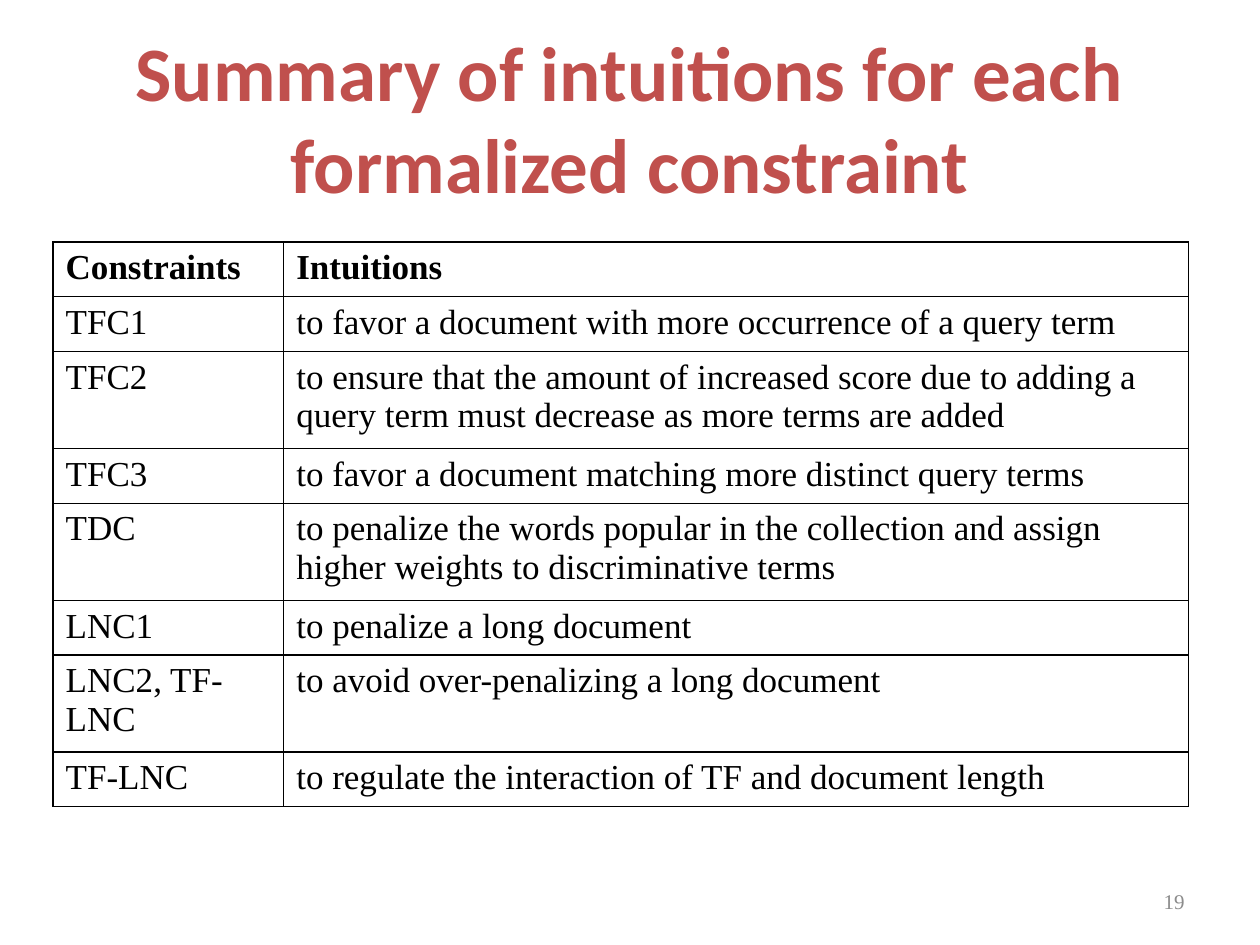
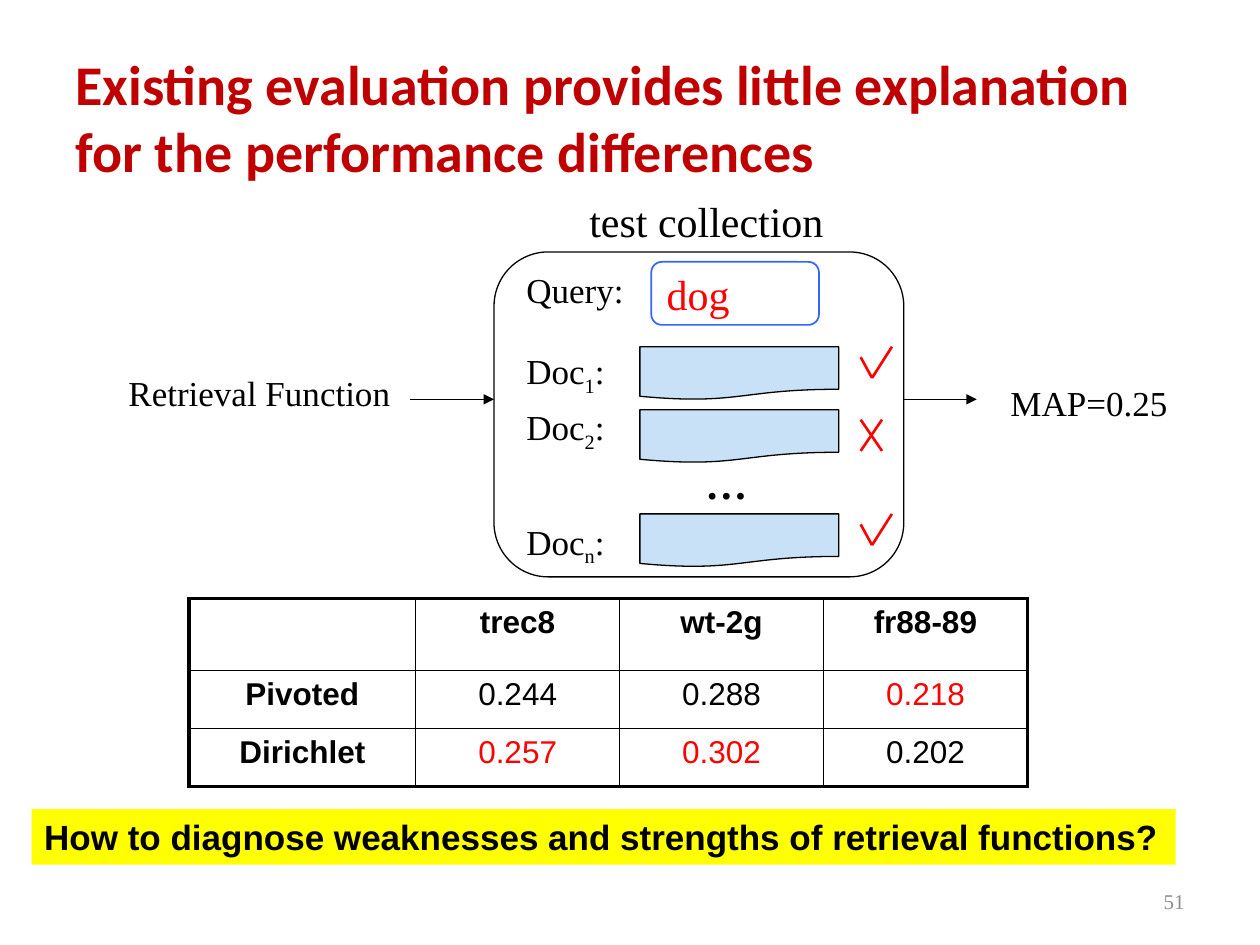
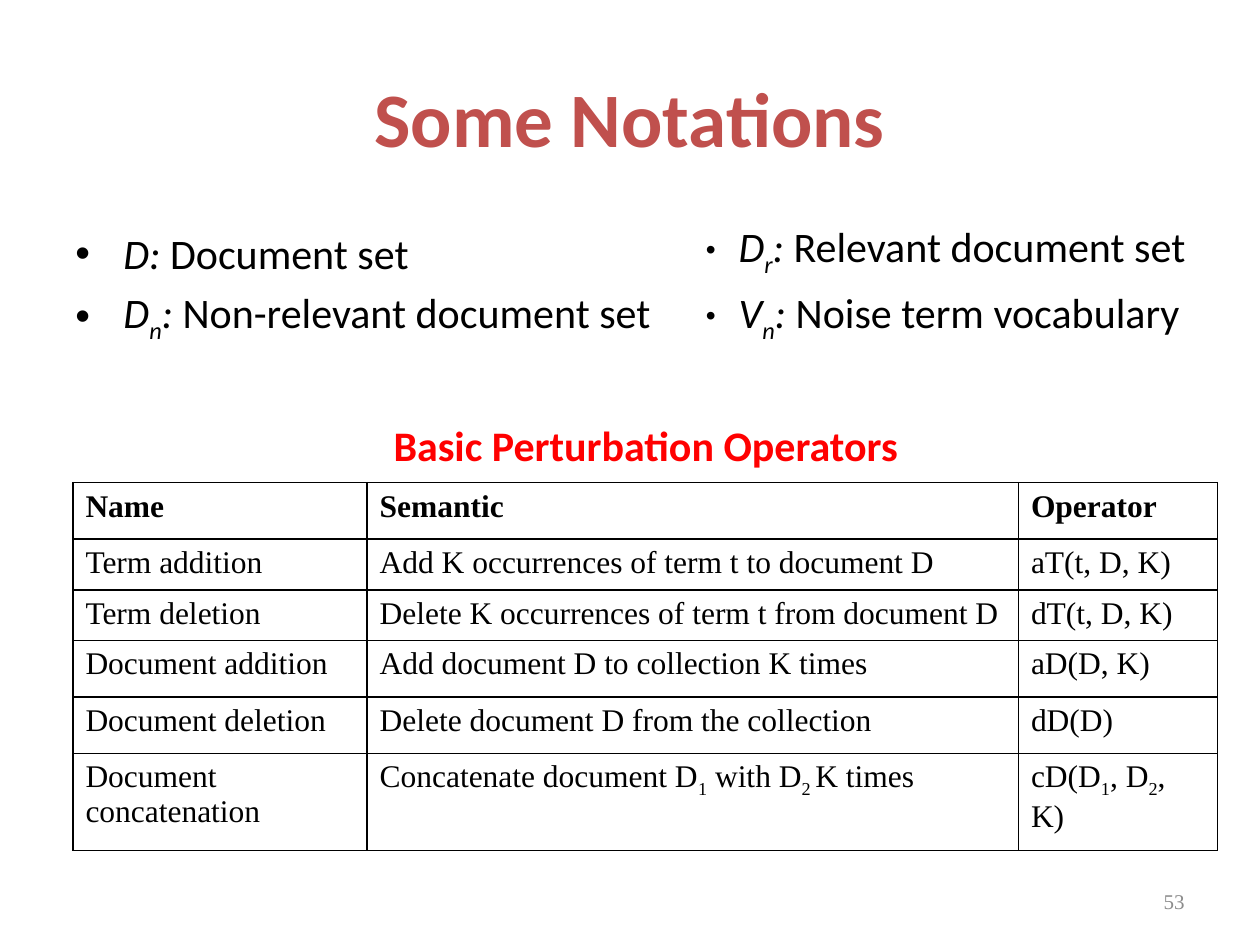
from dataclasses import dataclass

import lxml.etree
import pptx
import pptx.dml.color
import pptx.enum.shapes
import pptx.enum.text
import pptx.oxml
import pptx.oxml.ns
import pptx.util

Cm, Pt = pptx.util.Cm, pptx.util.Pt
RGB = pptx.dml.color.RGBColor.from_string
ALIGN = pptx.enum.text.PP_ALIGN
ANCHOR = pptx.enum.text.MSO_ANCHOR
SHAPE = pptx.enum.shapes.MSO_SHAPE
qn = pptx.oxml.ns.qn


@dataclass(frozen=True)
class Theme:
    heading_font: str = "Calibri"
    body_font: str = "Times New Roman"
    plain_font: str = "Arial"
    ink: str = "000000"
    title: str = "C0504D"
    dark_title: str = "C00000"
    red: str = "FF0000"
    blue: str = "3366FF"
    document: str = "C9E1F6"
    highlight: str = "FFFF00"
    grey: str = "8C8C8C"
    title_size: int = 44
    long_title_size: int = 32
    large: int = 24
    medium: int = 20
    small: int = 18
    footer: int = 12


THEME = Theme()


def add_runs(paragraph, text, size, font=THEME.body_font, color=THEME.ink, bold=False, italic=False):
    """Add text as runs; every second part between bars is a subscript."""
    for position, part in enumerate(text.split("|")):
        run = paragraph.add_run()
        run.text = part
        run.font.size = Pt(size)
        run.font.name = font
        run.font.color.rgb = RGB(color)
        run.font.bold = bold
        run.font.italic = italic
        if position % 2:
            run.font._element.set("baseline", "-25000")


def add_label(slide, box, text, size, align=ALIGN.LEFT, anchor=ANCHOR.TOP, **style):
    text_box = slide.shapes.add_textbox(*map(Cm, box))
    text_box.text_frame.word_wrap = True
    text_box.text_frame.vertical_anchor = anchor
    paragraph = text_box.text_frame.paragraphs[0]
    paragraph.alignment = align
    add_runs(paragraph, text, size, **style)


presentation = pptx.Presentation()
presentation.slide_width = Cm(25.4)
presentation.slide_height = Cm(19.05)

# Titles and page numbers
slides = []
for title, page, size, color, align in [
    ("Summary of intuitions for each formalized constraint", "19",
     THEME.title_size, THEME.title, ALIGN.CENTER),
    ("Existing evaluation provides little explanation for the performance differences", "51",
     THEME.long_title_size, THEME.dark_title, ALIGN.LEFT),
    ("Some Notations", "53", THEME.title_size, THEME.title, ALIGN.CENTER),
]:
    slide = presentation.slides.add_slide(presentation.slide_layouts[6])
    add_label(slide, (1.27, 0.76, 22.86, 3.18), title, size, align, ANCHOR.MIDDLE,
              font=THEME.heading_font, color=color, bold=True)
    add_label(slide, (18.21, 17.65, 5.92, 1.02), page, THEME.footer, ALIGN.RIGHT, ANCHOR.MIDDLE,
              color=THEME.grey)
    slides.append(slide)
summary_slide, evaluation_slide, notation_slide = slides

# Tables
constraints = [
    ("Constraints", "Intuitions"),
    ("TFC1", "to favor a document with more occurrence of a query term"),
    ("TFC2", "to ensure that the amount of increased score due to adding a query term "
             "must decrease as more terms are added"),
    ("TFC3", "to favor a document matching more distinct query terms"),
    ("TDC", "to penalize the words popular in the collection and assign higher weights "
            "to discriminative terms"),
    ("LNC1", "to penalize a long document"),
    ("LNC2, TF-LNC", "to avoid over-penalizing a long document"),
    ("TF-LNC", "to regulate the interaction of TF and document length"),
]
scores = [
    ("", "trec8", "wt-2g", "fr88-89"),
    ("Pivoted", "0.244", "0.288", "0.218"),
    ("Dirichlet", "0.257", "0.302", "0.202"),
]
operators = [
    ("Name", "Semantic", "Operator"),
    ("Term addition", "Add K occurrences of term t to document D", "aT(t, D, K)"),
    ("Term deletion", "Delete K occurrences of term t from document D", "dT(t, D, K)"),
    ("Document addition", "Add document D to collection K times", "aD(D, K)"),
    ("Document deletion", "Delete document D from the collection", "dD(D)"),
    ("Document concatenation", "Concatenate document D|1| with D|2 |K times", "cD(D|1|, D|2|, K)"),
]
for slide, rows, left, top, widths, heights, size in [
    (summary_slide, constraints, 1.07, 4.88, (4.65, 18.24),
     (1.09, 1.09, 1.96, 1.09, 1.96, 1.09, 1.09, 1.09), THEME.medium),
    (evaluation_slide, scores, 3.81, 12.07, (4.57, 4.11, 4.11, 4.11), (1.45, 1.17, 1.17), THEME.small),
    (notation_slide, operators, 1.47, 9.73, (5.93, 13.13, 4.01),
     (1.14, 1.02, 1.02, 1.14, 1.14, 1.96), THEME.small),
]:
    is_scores = rows is scores
    table = slide.shapes.add_table(len(rows), len(widths), Cm(left), Cm(top),
                                   Cm(sum(widths)), Cm(sum(heights))).table
    table.first_row = table.horz_banding = False
    for column, width in zip(table.columns, widths):
        column.width = Cm(width)
    for row_index, values in enumerate(rows):
        table.rows[row_index].height = Cm(heights[row_index])
        for column_index, value in enumerate(values):
            cell = table.cell(row_index, column_index)
            cell.fill.background()
            paragraph = cell.text_frame.paragraphs[0]
            paragraph.alignment = ALIGN.CENTER if is_scores else ALIGN.LEFT
            is_header = row_index == 0 or (is_scores and column_index == 0)
            is_best = is_scores and not is_header and value == max(row[column_index] for row in rows[1:])
            if value:
                add_runs(paragraph, value, size, bold=is_header,
                         font=THEME.plain_font if is_scores else THEME.body_font,
                         color=THEME.red if is_best else THEME.ink)
            outer_sides = {
                "L": column_index == 0,
                "R": column_index == len(widths) - 1,
                "T": row_index == 0,
                "B": row_index == len(rows) - 1,
            }
            properties = cell._tc.get_or_add_tcPr()
            for position, (side, is_outer) in enumerate(outer_sides.items()):
                border = pptx.oxml.parse_xml(
                    f'<a:ln{side} {pptx.oxml.ns.nsdecls("a")}><a:solidFill>'
                    f'<a:srgbClr val="{THEME.ink}"/></a:solidFill></a:ln{side}>')
                border.set("w", str(Pt(2.25 if is_scores and is_outer else 1)))
                properties.insert(position, border)

# Evaluation diagram: shapes
document_tops = (6.99, 8.26, 10.36)
documents = [(SHAPE.FLOWCHART_DOCUMENT, (12.9, top, 4.01, 1.07), THEME.document, THEME.ink, 0.75)
             for top in document_tops]
for kind, box, fill, line, line_width in [
    (SHAPE.RECTANGLE, (0.64, 16.31, 23.06, 1.12), THEME.highlight, None, 0),
    (SHAPE.ROUNDED_RECTANGLE, (9.96, 5.08, 8.26, 6.55), None, THEME.ink, 0.75),
    (SHAPE.ROUNDED_RECTANGLE, (13.13, 5.28, 3.38, 1.27), None, THEME.blue, 1),
    *documents,
]:
    shape = evaluation_slide.shapes.add_shape(kind, *map(Cm, box))
    shape.shadow.inherit = False
    if fill:
        shape.fill.solid()
        shape.fill.fore_color.rgb = RGB(fill)
    else:
        shape.fill.background()
    if line:
        shape.line.color.rgb = RGB(line)
        shape.line.width = Pt(line_width)
    else:
        shape.line.fill.background()
    paragraph = shape.text_frame.paragraphs[0]
    paragraph.alignment = ALIGN.LEFT
    if fill == THEME.highlight:
        add_runs(paragraph, "How to diagnose weaknesses and strengths of retrieval functions?",
                 THEME.medium, font=THEME.plain_font, bold=True)
    elif line == THEME.blue:
        add_runs(paragraph, "dog", THEME.large, color=THEME.red)

# Evaluation diagram: labels
for left, top, width, text, size, bold in [
    (11.63, 3.81, 6.4, "test collection", THEME.large, False),
    (13.97, 9.09, 3.38, "…", THEME.large, True),
    (10.36, 5.28, 2.97, "Query:", THEME.medium, False),
    (10.36, 6.93, 2.34, "Doc|1|:", THEME.medium, False),
    (10.36, 8.05, 2.34, "Doc|2|:", THEME.medium, False),
    (10.36, 10.36, 2.74, "Doc|n|:", THEME.medium, False),
    (2.34, 7.37, 6.35, "Retrieval Function", THEME.medium, False),
    (20.12, 7.57, 3.81, "MAP=0.25", THEME.medium, False),
]:
    add_label(evaluation_slide, (left, top, width, 1.1), text, size, bold=bold)

# Evaluation diagram: arrows, check marks and cross
arrows = [(8.26, 8.05, 9.96, 8.05), (18.21, 8.05, 19.69, 8.05)]
strokes = [(17.35, 8.46, 17.78, 9.09), (17.35, 9.09, 17.78, 8.46)]
for top in (document_tops[0], document_tops[2]):
    strokes += [(17.35, top + 0.21, 17.58, top + 0.63), (17.58, top + 0.63, 17.98, top)]
for ends in arrows + strokes:
    is_arrow = ends in arrows
    connector = evaluation_slide.shapes.add_connector(
        pptx.enum.shapes.MSO_CONNECTOR.STRAIGHT, *map(Cm, ends))
    connector.line.color.rgb = RGB(THEME.ink if is_arrow else THEME.red)
    connector.line.width = Pt(0.75 if is_arrow else 1.5)
    if is_arrow:
        lxml.etree.SubElement(connector.line._get_or_add_ln(), qn("a:tailEnd"), type="triangle")
    lxml.etree.SubElement(connector._element.spPr, qn("a:effectLst"))

# Notation lists
for left, width, indent, bullet_percent, notations in [
    (1.27, 12.6, 0.97, 100, [("D:", " Document set"), ("D|n|:", " Non-relevant document set")]),
    (13.98, 10.8, 0.66, 67, [("D|r|:", " Relevant document set"), ("V|n|:", " Noise term vocabulary")]),
]:
    text_box = notation_slide.shapes.add_textbox(Cm(left), Cm(4.32), Cm(width), Cm(3))
    text_frame = text_box.text_frame
    text_frame.word_wrap = True
    for index, (symbol, meaning) in enumerate(notations):
        paragraph = text_frame.add_paragraph() if index else text_frame.paragraphs[0]
        paragraph.line_spacing = Pt(33)
        paragraph.space_before = Pt(4.8)
        add_runs(paragraph, symbol, THEME.large, font=THEME.heading_font, italic=True)
        add_runs(paragraph, meaning, THEME.large, font=THEME.heading_font)
        properties = paragraph._p.get_or_add_pPr()
        properties.set("marL", str(Cm(indent)))
        properties.set("indent", str(-Cm(indent)))
        lxml.etree.SubElement(properties, qn("a:buSzPct"), val=str(bullet_percent * 1000))
        lxml.etree.SubElement(properties, qn("a:buFont"), typeface=THEME.plain_font)
        lxml.etree.SubElement(properties, qn("a:buChar"), char="•")
add_label(notation_slide, (1.27, 8.33, 23.5, 1.27), "Basic Perturbation Operators", THEME.large,
          ALIGN.CENTER, font=THEME.heading_font, color=THEME.red, bold=True)

presentation.save("out.pptx")
